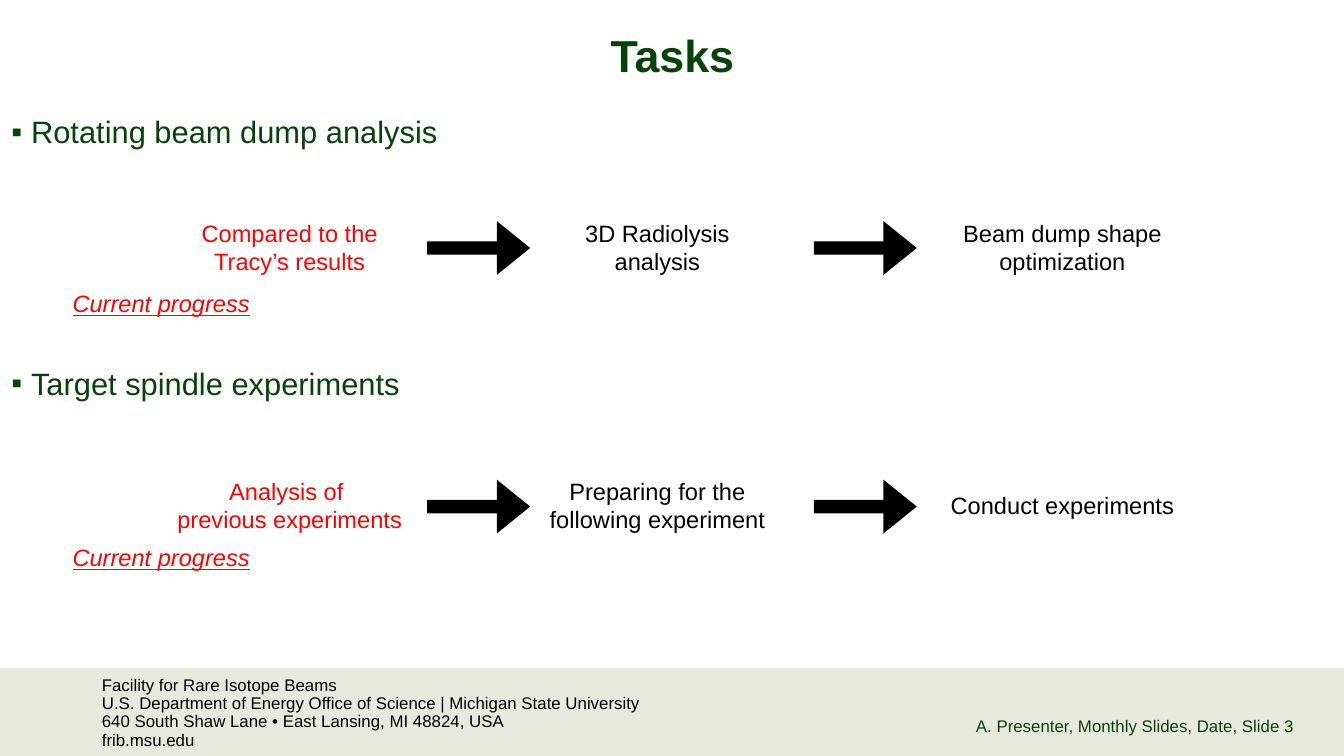
from lxml.etree import SubElement
from pptx import Presentation
from pptx.dml.color import RGBColor
from pptx.enum.shapes import MSO_SHAPE as Shape
from pptx.enum.text import MSO_ANCHOR as Anchor, PP_ALIGN as Align
from pptx.oxml.ns import qn
from pptx.util import Pt

GREEN = RGBColor(0x06, 0x43, 0x08)
RED = RGBColor(0xFF, 0x00, 0x00)
BLACK = RGBColor(0x00, 0x00, 0x00)
BEIGE = RGBColor(0xE7, 0xE9, 0xDE)

presentation = Presentation()
presentation.slide_width = Pt(1023.84)
presentation.slide_height = Pt(576)
slide = presentation.slides.add_slide(presentation.slide_layouts[6])


def add_text(text, left, top, width, height, size, color, align=Align.LEFT,
             anchor=Anchor.TOP, spacing=1.0, insets=(7.2, 3.6)):
    box = slide.shapes.add_textbox(Pt(left), Pt(top), Pt(width), Pt(height))
    text_frame = box.text_frame
    text_frame.word_wrap = True
    text_frame.vertical_anchor = anchor
    text_frame.margin_left = text_frame.margin_right = Pt(insets[0])
    text_frame.margin_top = text_frame.margin_bottom = Pt(insets[1])
    text_frame.text = text
    for paragraph in text_frame.paragraphs:
        paragraph.alignment = align
        paragraph.line_spacing = spacing
        for run in paragraph.runs:
            run.font.name = "Arial"
            run.font.size = Pt(size)
            run.font.color.rgb = color
    return text_frame


def add_filled(kind, left, top, width, height, color):
    shape = slide.shapes.add_shape(kind, Pt(left), Pt(top), Pt(width), Pt(height))
    shape.shadow.inherit = False
    shape.fill.solid()
    shape.fill.fore_color.rgb = color
    shape.line.fill.background()
    return shape


add_filled(Shape.RECTANGLE, -1.44, 509, 1025.28, 69, BEIGE)
address = "\n".join([
    "Facility for Rare Isotope Beams",
    "U.S. Department of Energy Office of Science | Michigan State University",
    "640 South Shaw Lane • East Lansing, MI 48824, USA",
    "frib.msu.edu",
])
add_text(address, 70.5, 512, 461, 64, 12.8, BLACK, spacing=Pt(13.9))

topics = add_text("Rotating beam dump analysis\nTarget spindle experiments",
                  8.64, 89.3, 791, 415, 23.5, GREEN, spacing=0.9, insets=(0, 0))
topics.paragraphs[1].space_before = Pt(166)
for paragraph in topics.paragraphs:
    properties = paragraph._p.get_or_add_pPr()
    properties.set("marL", str(Pt(15)))
    properties.set("indent", str(Pt(-15)))
    SubElement(properties, qn("a:buFont"), typeface="Arial")
    SubElement(properties, qn("a:buChar"), char="▪")

title = add_text("Tasks", 8.64, 24.5, 1007, 40.3, 34.1, GREEN, Align.CENTER,
                 Anchor.MIDDLE, 0.88, (4.3, 1.4))
title.paragraphs[0].runs[0].font.bold = True

add_text("A. Presenter, Monthly Slides, Date", 512, 533.5, 427, 31, 12.8, GREEN,
         Align.RIGHT, Anchor.BOTTOM, 0.9, (0, 3.6))
add_text(", Slide 3", 939, 533.5, 85, 31, 12.8, GREEN,
         Align.LEFT, Anchor.BOTTOM, 0.9, (0, 3.6))

step_lefts = [123.8, 403.9, 712.4]
arrow_lefts = [325.4, 619.9]
flows = [
    (162.7, 168.5, 216.7, ["Compared to the Tracy’s results",
                           "3D Radiolysis analysis",
                           "Beam dump shape optimization"]),
    (359.3, 365.5, 410.2, ["Analysis of \vprevious experiments",
                           "Preparing for the following experiment",
                           "Conduct experiments"]),
]
for step_top, arrow_top, progress_top, steps in flows:
    for index, (left, step) in enumerate(zip(step_lefts, steps)):
        add_text(step, left, step_top, 193.7, 51, 18, BLACK if index else RED,
                 Align.CENTER, Anchor.MIDDLE)
    for left in arrow_lefts:
        arrow = add_filled(Shape.RIGHT_ARROW, left, arrow_top, 78.5, 41, BLACK)
        arrow.adjustments[0] = 0.25
        arrow.adjustments[1] = 0.62
    progress = add_text("Current progress", 48.2, progress_top, 172, 29, 18, RED)
    font = progress.paragraphs[0].runs[0].font
    font.italic = True
    font.underline = True

presentation.save("out.pptx")
